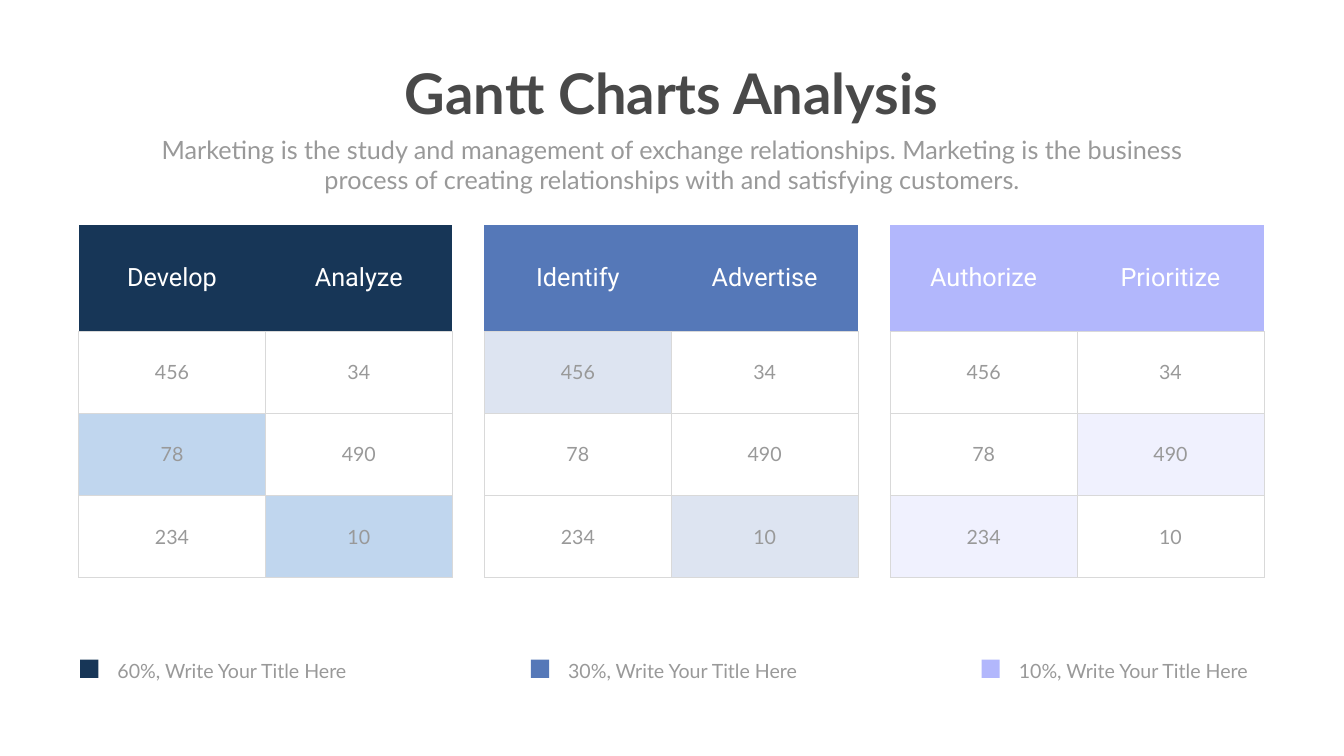
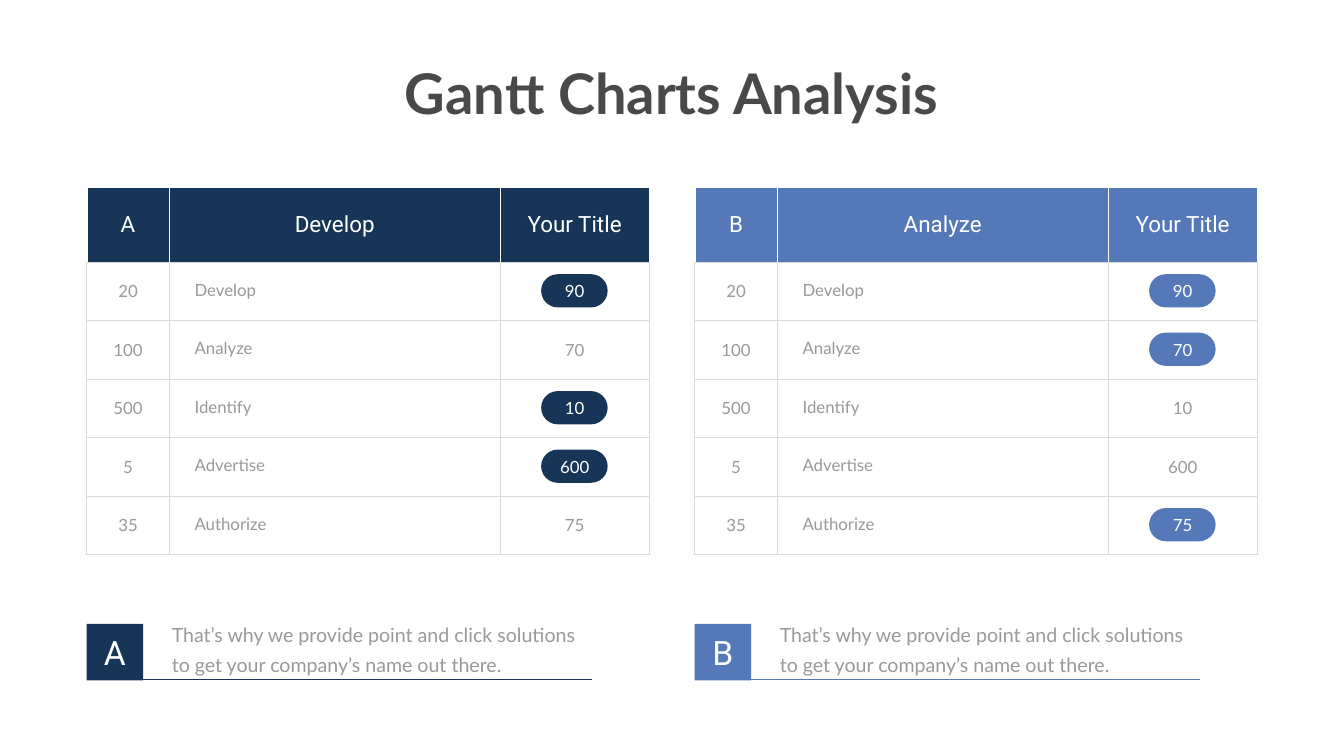
import lxml.etree
import pptx
import pptx.dml.color
import pptx.enum.shapes
import pptx.enum.text
import pptx.oxml.ns
import pptx.util

Pt = pptx.util.Pt
rgb = pptx.dml.color.RGBColor.from_string
qn = pptx.oxml.ns.qn
ALIGN = pptx.enum.text.PP_ALIGN
MIDDLE = pptx.enum.text.MSO_ANCHOR.MIDDLE
SHAPE = pptx.enum.shapes.MSO_SHAPE

NAVY, BLUE, LILAC = "173657", "5578B8", "B2B7FC"
WHITE, GREY, DARK, RULE = "FFFFFF", "999999", "494949", "D9D9D9"
PLAIN_TABLE = "{2D5ABB26-0587-4C30-8999-92F81FD0307C}"


def write(frame, text, size, color, font="Lato", align=ALIGN.CENTER, bold=False):
    para = frame.paragraphs[0]
    para.alignment = align
    span = para.add_run()
    span.text = text
    span.font.size = Pt(size)
    span.font.name = font
    span.font.bold = bold
    span.font.color.rgb = rgb(color)
    return para


def add_grid(page, left, top, widths, heights, rows, color, header_size, body_size, header_edges):
    table = page.shapes.add_table(
        len(heights), len(widths), Pt(left), Pt(top), Pt(sum(widths)), Pt(sum(heights))
    ).table
    table.first_row = table.horz_banding = False
    table._tbl.tblPr.find(qn("a:tableStyleId")).text = PLAIN_TABLE
    for column, width in zip(table.columns, widths):
        column.width = Pt(width)
    for row, height in zip(table.rows, heights):
        row.height = Pt(height)
    body_edges = {side: (RULE, 1) for side in "LRTB"}
    for r, texts in enumerate(rows):
        for c, text in enumerate(texts):
            cell = table.cell(r, c)
            cell.vertical_anchor = MIDDLE
            edges = body_edges if r else header_edges
            for side in "LRTB":
                if side in edges:
                    edge_color, width = edges[side]
                    line = lxml.etree.SubElement(
                        cell._tc.get_or_add_tcPr(), qn("a:ln" + side), w=str(Pt(width))
                    )
                    solid = lxml.etree.SubElement(line, qn("a:solidFill"))
                    lxml.etree.SubElement(solid, qn("a:srgbClr"), val=edge_color)
            if r:
                cell.fill.background()
                write(cell.text_frame, text, body_size, GREY)
            else:
                cell.fill.solid()
                cell.fill.fore_color.rgb = rgb(color)
                write(cell.text_frame, text, header_size, WHITE, "Roboto")
    return table


deck = pptx.Presentation()
deck.slide_width = Pt(1919.52)
deck.slide_height = Pt(1080)
pages = [deck.slides.add_slide(deck.slide_layouts[5]) for _ in range(2)]
for page in pages:
    title = page.shapes.title
    title.left, title.top, title.width, title.height = Pt(559.44), Pt(80.64), Pt(799.92), Pt(104.4)
    frame = title.text_frame
    frame.word_wrap = False
    frame.auto_size = pptx.enum.text.MSO_AUTO_SIZE.NONE
    frame.vertical_anchor = pptx.enum.text.MSO_ANCHOR.TOP
    write(frame, "Gantt Charts Analysis", 80, DARK, bold=True)

page = pages[0]
subtitle = page.shapes.add_textbox(Pt(210.24), Pt(187.92), Pt(1499.04), Pt(94.32))
subtitle.text_frame.word_wrap = True
write(
    subtitle.text_frame,
    "Marketing is the study and management of exchange relationships. Marketing is the business "
    "process of creating relationships with and satisfying customers.",
    36,
    GREY,
)

figures = [("456", "34"), ("78", "490"), ("234", "10")]
phases = [
    (("Develop", "Analyze"), NAVY, "C0D6EE", [(2, 0), (3, 1)], "60%"),
    (("Identify", "Advertise"), BLUE, "DDE4F1", [(1, 0), (3, 1)], "30%"),
    (("Authorize", "Prioritize"), LILAC, "F0F1FE", [(2, 1), (3, 0)], "10%"),
]
for index, (header, color, tint, tinted, share) in enumerate(phases):
    table = add_grid(
        page, 112.32 + 579.6 * index, 321.12, [266.76] * 2, [151.92] + [117.36] * 3,
        [header] + figures, color, 36, 28, {"B": (RULE, 1)},
    )
    for c in range(2):
        heading = table.cell(0, c)
        heading.margin_left = heading.margin_right = Pt(10)
        heading.margin_top = heading.margin_bottom = Pt(5)
        for r in range(1, 4):
            cell = table.cell(r, c)
            cell.fill.solid()
            cell.fill.fore_color.rgb = rgb(tint if (r, c) in tinted else WHITE)

    legend_left = 114.48 + 643.68 * index
    legend = page.shapes.add_textbox(Pt(legend_left + 36), Pt(925.2), Pt(367.2), Pt(54))
    frame = legend.text_frame
    frame.word_wrap = True
    frame.margin_left = frame.margin_right = Pt(17.28)
    frame.margin_top = frame.margin_bottom = Pt(8.64)
    para = write(frame, share + ", Write Your Title Here", 28, GREY, align=ALIGN.LEFT)
    para.line_spacing = Pt(40.8)
    marker = page.shapes.add_shape(SHAPE.RECTANGLE, Pt(legend_left), Pt(942.48), Pt(26), Pt(26))
    marker.shadow.inherit = False
    marker.fill.solid()
    marker.fill.fore_color.rgb = rgb(color)
    marker.line.fill.background()

page = pages[1]
activities = [
    ("20", "Develop", "90"),
    ("100", "Analyze", "70"),
    ("500", "Identify", "10"),
    ("5", "Advertise", "600"),
    ("35", "Authorize", "75"),
]
panels = [
    (123.84, "A", "Develop", NAVY, [1, 3, 4]),
    (992.16, "B", "Analyze", BLUE, [1, 2, 5]),
]
header_edges = {"L": (WHITE, 0.5), "R": (WHITE, 0.5), "T": (WHITE, 1), "B": (RULE, 1)}
header_height, row_height = 106.56, 83.52
for left, letter, heading, color, marked in panels:
    for r in marked:
        pill = page.shapes.add_shape(
            SHAPE.ROUNDED_RECTANGLE,
            Pt(left + 649), Pt(391.68 + row_height * (r - 1)), Pt(95.04), Pt(47.52),
        )
        pill.adjustments[0] = 0.5
        pill.shadow.inherit = False
        pill.fill.solid()
        pill.fill.fore_color.rgb = rgb(color)
        pill.line.fill.background()

    table = add_grid(
        page, left, 267.84, [118.08, 472.32, 213.12], [header_height] + [row_height] * 5,
        [(letter, heading, "Your Title")] + activities, color, 32, 24, header_edges,
    )
    for r in range(1, 6):
        name = table.cell(r, 1)
        name.margin_left, name.margin_right = Pt(36), Pt(0)
        name.margin_top, name.margin_bottom = Pt(0), Pt(3.6)
        name.text_frame.paragraphs[0].alignment = ALIGN.LEFT
        if r in marked:
            table.cell(r, 2).text_frame.paragraphs[0].runs[0].font.color.rgb = rgb(WHITE)

    badge = page.shapes.add_shape(SHAPE.RECTANGLE, Pt(left), Pt(891.36), Pt(80.64), Pt(80.64))
    badge.shadow.inherit = False
    badge.fill.solid()
    badge.fill.fore_color.rgb = rgb(color)
    badge.line.fill.background()
    label = page.shapes.add_textbox(Pt(left + 8), Pt(898.56), Pt(64.08), Pt(65.52))
    label.text_frame.word_wrap = True
    write(label.text_frame, letter, 48, WHITE, "Roboto")

    note = page.shapes.add_textbox(Pt(left + 114.48), Pt(876.24), Pt(607.68), Pt(90))
    note.text_frame.word_wrap = True
    para = write(
        note.text_frame,
        "That’s why we provide point and click solutions to get your company’s name out there.",
        28, GREY, align=ALIGN.LEFT,
    )
    para.line_spacing = Pt(43)
    underline = page.shapes.add_connector(
        pptx.enum.shapes.MSO_CONNECTOR.STRAIGHT, Pt(left), Pt(970.56), Pt(left + 722.16), Pt(970.56)
    )
    underline.line.color.rgb = rgb(color)
    underline.line.width = Pt(0.5)
    lxml.etree.SubElement(underline._element.spPr, qn("a:effectLst"))

deck.save("out.pptx")
